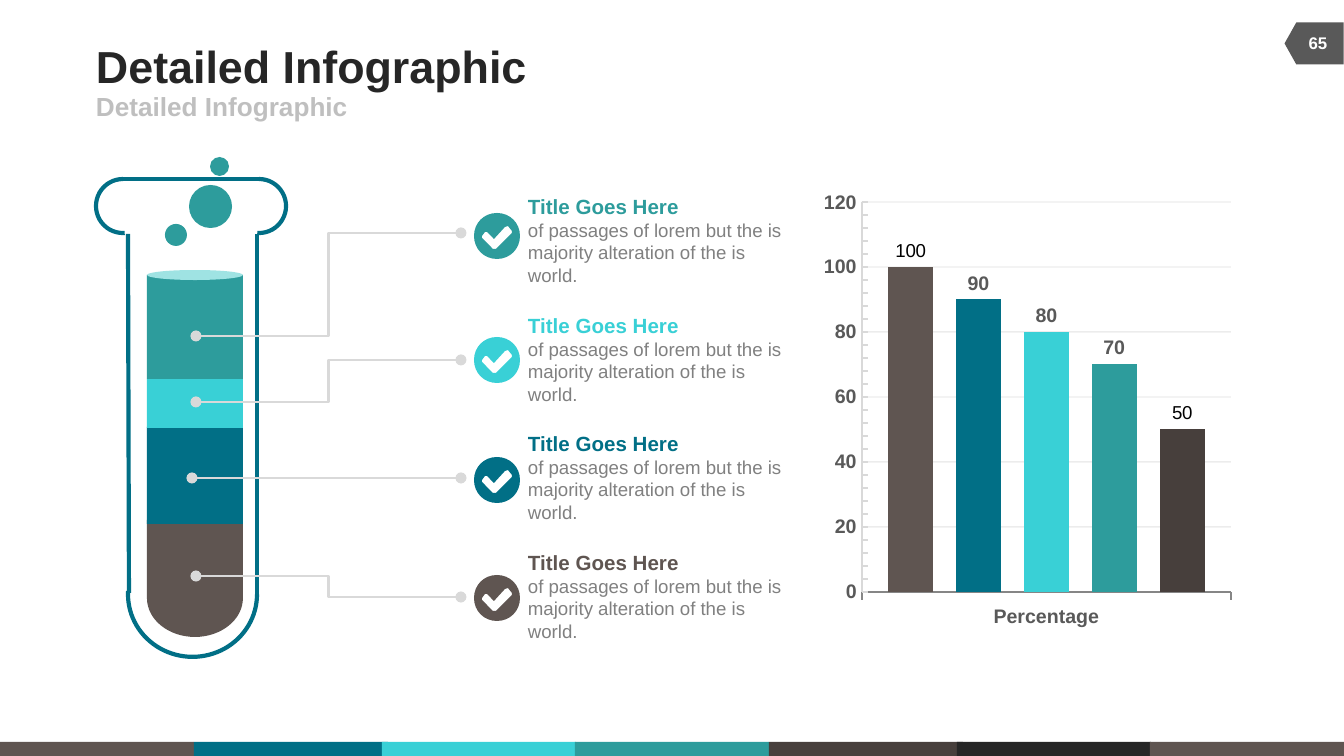
from lxml.etree import SubElement
from pptx import Presentation
from pptx.chart.data import CategoryChartData
from pptx.dml.color import RGBColor
from pptx.enum.chart import XL_CHART_TYPE as CT, XL_LABEL_POSITION as LP, XL_TICK_MARK as TM
from pptx.enum.shapes import MSO_CONNECTOR as MC, MSO_SHAPE as MS
from pptx.enum.text import MSO_ANCHOR as MA, PP_ALIGN as PA
from pptx.oxml import parse_xml
from pptx.oxml.ns import nsdecls, qn
from pptx.util import Pt

PX = 9144000 / 1344
BROWN, BLUE, AQUA, TEAL, DARK, BLACK = "5F5551", "016F86", "39D0D6", "2D9C9C", "473F3C", "262626"
GREY, PALE, WHITE = "595959", "D9D9D9", "FFFFFF"
CIRCLE = [[(0, 23)], [(-13, 23), (-23, 13), (-23, 0)], [(-23, -13), (-13, -23), (0, -23)],
          [(13, -23), (23, -13), (23, 0)], [(23, 13), (13, 23), (0, 23)]]
CHECK = [[p] for p in ((15, -5), (11, -10), (8, -9), (-3, 3), (-10, -4), (-12, -4),
                       (-15, 0), (-15, 2), (-4, 13), (-1, 13), (15, -3))]
ROUND_END = [[(243, 520)], [(243, 598)], [(243, 620), (221, 637), (195, 637)],
             [(169, 637), (147, 620), (147, 598)], [(147, 520)]]


def px(n):
    return round(n * PX)


def rgb(h):
    return RGBColor.from_string(h)


class Deck:
    """Holds the text style and the current slide, and draws each kind of element on it."""

    font = "Arial"

    def __init__(self, prs):
        self.s = prs.slides.add_slide(prs.slide_layouts[6])

    def set_font(self, font, color, **fmt):
        for k, v in {"name": self.font, **fmt}.items():
            setattr(font, k, v)
        font.color.rgb = rgb(color)

    def paint(self, sp, fill):
        sp.shadow.inherit = False
        sp.fill.solid()
        sp.fill.fore_color.rgb = rgb(fill)
        sp.line.fill.background()
        return sp

    def shape(self, kind, box, fill):
        return self.paint(self.s.shapes.add_shape(kind, *map(px, box)), fill)

    def arc(self, box, end, rotation=0, flip=False):
        sp = self.s.shapes.add_shape(MS.ARC, *map(px, box))
        sp.shadow.inherit = False
        sp.fill.background()
        sp.line.color.rgb = rgb(BLUE)
        sp.line.width = Pt(2.25)
        sp.adjustments[0], sp.adjustments[1] = 162, end
        sp.rotation = rotation
        if flip:
            sp._element.spPr.find(qn("a:xfrm")).set("flipH", "1")

    def outline(self, contours, fill):
        fb = None
        for (start,), *segments in contours:
            if fb:
                fb.move_to(*start)
            else:
                fb = self.s.shapes.build_freeform(*start, scale=PX)
            fb.add_line_segments([seg[-1] for seg in segments], close=True)
        sp = self.paint(fb.convert_to_shape(), fill)
        steps = [seg for contour in contours for seg in contour[1:]]
        for seg, node in zip(steps, list(sp._element.spPr.iter(qn("a:lnTo")))):
            if len(seg) == 3:
                self.bend(node, seg)

    def bend(self, node, seg):
        end = node[0]
        dx, dy = int(end.get("x")) - seg[2][0], int(end.get("y")) - seg[2][1]
        node.tag = qn("a:cubicBezTo")
        for x, y in seg[:2]:
            end.addprevious(node.makeelement(qn("a:pt"), x=str(x + dx), y=str(y + dy)))

    def line(self, start, end, color, width, kind=MC.STRAIGHT, dots=False):
        sp = self.s.shapes.add_connector(kind, *map(px, start + end))
        sp.line.color.rgb = rgb(color)
        sp.line.width = Pt(width)
        spPr = sp._element.spPr
        if dots:
            for tag in ("a:headEnd", "a:tailEnd"):
                SubElement(spPr.find(qn("a:ln")), qn(tag), type="oval")
        SubElement(spPr, qn("a:effectLst"))

    def text(self, box, paras, anchor=MA.TOP, align=PA.LEFT):
        tf = self.s.shapes.add_textbox(*map(px, box)).text_frame
        fmt = {"word_wrap": True, "vertical_anchor": anchor, "margin_left": 0,
               "margin_right": 0, "margin_top": 0, "margin_bottom": 0}
        for k, v in fmt.items():
            setattr(tf, k, v)
        for i, (text, size, color, bold) in enumerate(paras):
            p = tf.add_paragraph() if i else tf.paragraphs[0]
            p.alignment = align
            r = p.add_run()
            r.text = text
            self.set_font(r.font, color, size=Pt(size), bold=bold)

    def badge(self, cx, cy, fill):
        self.outline([[[(cx + x, cy + y) for x, y in seg] for seg in contour]
                      for contour in (CIRCLE, CHECK)], fill)

    def chart(self, box, plot_box, category, bars):
        cd = CategoryChartData()
        cd.categories = [category]
        for i, (value, _, _) in enumerate(bars, 1):
            cd.add_series(f"Series {i}", [value])
        ch = self.s.shapes.add_chart(CT.COLUMN_CLUSTERED, *map(px, box), cd).chart
        ch.has_legend = ch.has_title = False
        self.set_font(ch.font, GREY, size=Pt(10.5), bold=True)
        plot = ch.plots[0]
        plot.gap_width, plot.overlap, plot.vary_by_categories = 115, -50, False
        for ser, (_, color, plain) in zip(plot.series, bars):
            ser.format.fill.solid()
            ser.format.fill.fore_color.rgb = rgb(color)
            if plain:
                label = ser.points[0].data_label
                self.set_font(label.font, "000000", size=Pt(10), bold=False)
            else:
                label = ser.data_labels
                label.show_value = True
                self.set_font(label.font, GREY, size=Pt(10.5), bold=True)
            label.position = LP.OUTSIDE_END
        cat, val = ch.category_axis, ch.value_axis
        cat.major_tick_mark = TM.OUTSIDE
        fmt = {"minimum_scale": 0, "maximum_scale": 120, "major_unit": 20,
               "major_tick_mark": TM.NONE, "minor_tick_mark": TM.INSIDE}
        for k, v in fmt.items():
            setattr(val, k, v)
        grid = val.major_gridlines.format.line
        for ln, color in ((cat.format.line, "868686"), (val.format.line, PALE), (grid, PALE)):
            ln.color.rgb = rgb(color)
            ln.width = Pt(0.75)
        clr = val._element.find(qn("c:majorGridlines")).find(".//" + qn("a:srgbClr"))
        SubElement(clr, qn("a:alpha"), val="48000")
        self.place_plot(ch, box, plot_box)

    def place_plot(self, ch, box, plot_box):
        area = ch._chartSpace.find(".//" + qn("c:plotArea"))
        for old in area.findall(qn("c:layout")):
            area.remove(old)
        layout = parse_xml(f"<c:layout {nsdecls('c')}><c:manualLayout/></c:layout>")
        (x, y, w, h), (left, top, width, height) = box, plot_box
        values = [("layoutTarget", "inner"), ("xMode", "edge"), ("yMode", "edge"),
                  ("x", (left - x) / w), ("y", (top - y) / h), ("w", width / w), ("h", height / h)]
        for tag, value in values:
            SubElement(layout[0], qn(f"c:{tag}"), val=str(value))
        area.insert(0, layout)


def main():
    prs = Presentation()
    prs.slide_width, prs.slide_height = px(1344), px(756)
    d = Deck(prs)

    strip = zip((0, 194, 382, 575, 769, 957, 1150), (BROWN, BLUE, AQUA, TEAL, DARK, BLACK, BROWN))
    for x, color in strip:
        d.shape(MS.RECTANGLE, (x, 742, 194, 14), color)
    d.shape(MS.FLOWCHART_OFFPAGE_CONNECTOR, (1293, 14, 42, 59), GREY).rotation = 90
    d.text((96, 40, 829, 52), [("Detailed Infographic", 24, BLACK, True)], MA.MIDDLE)
    d.text((96, 91, 605, 30), [("Detailed Infographic", 14, "BFBFBF", True)], MA.MIDDLE)
    d.text((1290, 23, 56, 40), [("65", 9, WHITE, True)], MA.MIDDLE, PA.CENTER)

    d.outline([ROUND_END], BROWN)
    for y, h, color in ((427, 97, BLUE), (379, 49, AQUA), (275, 104, TEAL)):
        d.shape(MS.RECTANGLE, (147, y, 96, h), color)
    d.shape(MS.OVAL, (147, 270, 96, 10), "9FE3E3")
    d.arc((130, 530, 125, 129), 55.82, rotation=90)
    for start, end in (((129, 593), (128, 234)), ((257, 595), (257, 234)), ((260, 179), (123, 179))):
        d.line(start, end, BLUE, 2.25)
    for x, flip in ((232, False), (96, True)):
        d.arc((x, 179, 54, 54), 56.2, flip=flip)
    for x, y, size in ((189, 185, 43), (165, 224, 22), (210, 157, 19)):
        d.shape(MS.OVAL, (x, y, size, size), TEAL)

    body = "of passages of lorem but the is majority alteration of the is world."
    items = [(TEAL, (196, 336), 233, 236), (AQUA, (196, 402), 360, 360),
             (BLUE, (192, 478), 478, 480), (BROWN, (196, 576), 597, 598)]
    for i, (color, start, end_y, badge_y) in enumerate(items):
        kind = MC.STRAIGHT if start[1] == end_y else MC.ELBOW
        d.line(start, (461, end_y), PALE, 1.5, kind, dots=True)
        d.badge(497, badge_y, color)
        d.text((528, 194 + round(356 * i / 3), 254, 93),
               [("Title Goes Here", 11, color, True), (body, 10, "808080", False)])

    bars = [(100, BROWN, True), (90, BLUE, False), (80, AQUA, False), (70, TEAL, False), (50, DARK, True)]
    d.chart((808, 181, 433, 456), (862, 202, 369, 390), "Percentage", bars)
    prs.save("out.pptx")


if __name__ == "__main__":
    main()
